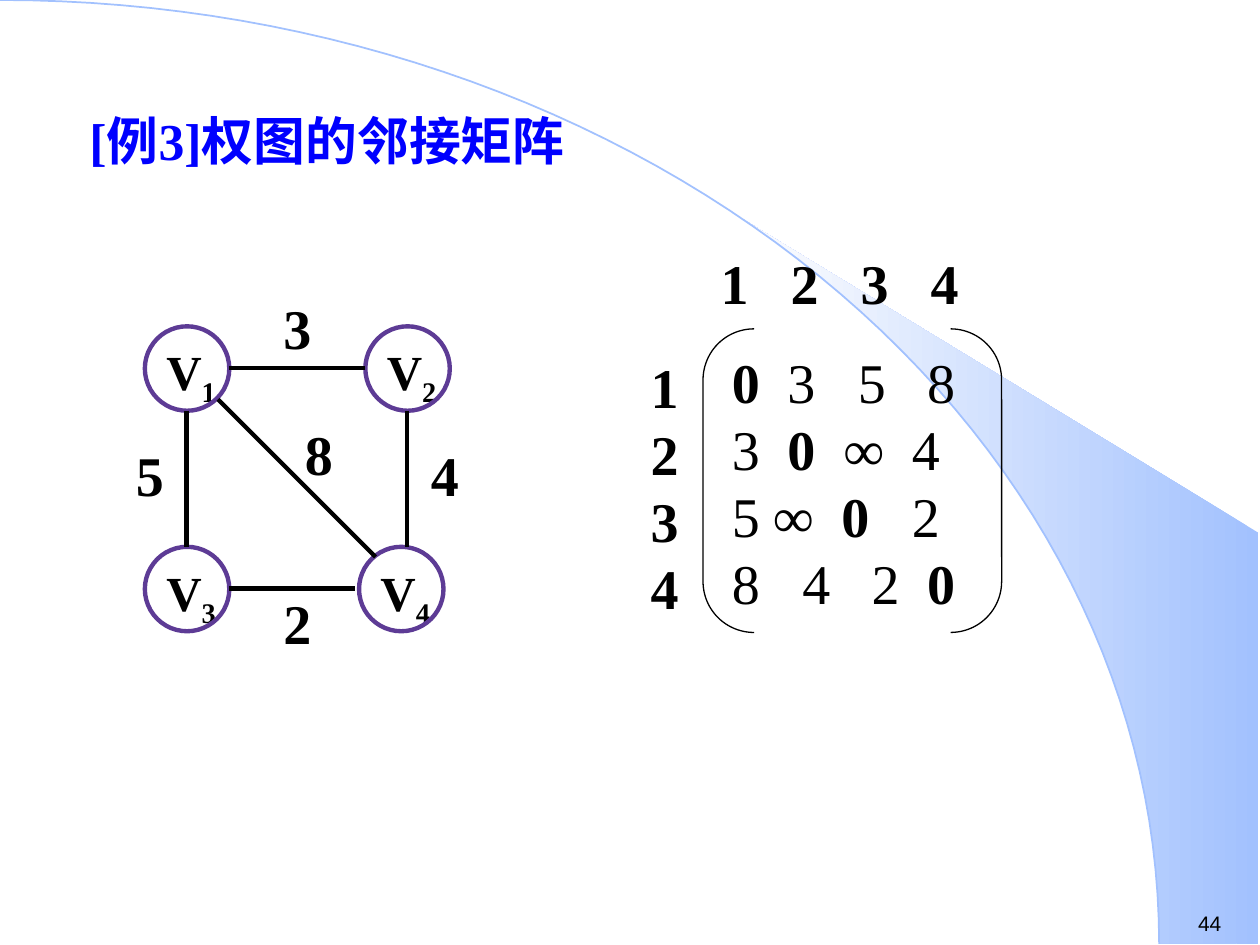
import math
from typing import NamedTuple

from lxml import etree
from pptx import Presentation
from pptx.dml.color import RGBColor
from pptx.enum import shapes, text
from pptx.oxml.ns import qn
from pptx.util import Inches, Pt


class Theme:
    serif, sans = "Times New Roman", "Arial"
    black = RGBColor(0, 0, 0)
    title = RGBColor(0, 0, 0xFF)
    ring = RGBColor(0x5D, 0x3B, 0x95)
    sky = RGBColor(0xA2, 0xC1, 0xFE)
    pale = RGBColor(0xFE, 0xFE, 0xFE)
    title_size, digit_size, vertex_size, page_size = 29.6, 32, 28, 12
    digit_leading = 38.3
    stroke, bracket_stroke, curve_stroke = 2.5, 0.75, 1


class Vertex(NamedTuple):
    index: str
    left: float
    top: float


class Edge(NamedTuple):
    start: tuple[float, float]
    end: tuple[float, float]
    weight: str
    weight_left: float
    weight_top: float


class MatrixRow(NamedTuple):
    entries: str
    stops: tuple[float, ...]


VERTICES = [Vertex("1", 1.15, 2.59), Vertex("4", 2.85, 4.34),
            Vertex("3", 1.15, 4.34), Vertex("2", 2.9, 2.59)]
EDGES = [Edge((1.82, 2.92), (2.9, 2.92), "3", 2.15, 2.25),
         Edge((3.23, 3.26), (3.23, 4.34), "4", 3.32, 3.42),
         Edge((1.82, 4.67), (2.82, 4.67), "2", 2.15, 4.59),
         Edge((1.48, 3.26), (1.48, 4.34), "5", 0.98, 3.42),
         Edge((1.73, 3.17), (2.98, 4.42), "8", 2.32, 3.25)]
ROWS = [MatrixRow("0358", (0.44, 1, 1.55)),
        MatrixRow("30∞4", (0.44, 0.89, 1.43)),
        MatrixRow("5∞02", (0.33, 0.87, 1.43)),
        MatrixRow("8420", (0.56, 1.11, 1.55))]
DIAMETER = 0.67
ARC_WIDTH, ARC_HEIGHT = 9.2, 7.49
BAND_START = 5.89


def style(run, size: float, color=Theme.black, bold=True, name=Theme.serif) -> None:
    run.font.name, run.font.size = name, Pt(size)
    run.font.bold, run.font.color.rgb = bold, color


def set_frame(frame, insets=(0, 0, 0, 0), wrap=True) -> None:
    frame.word_wrap = wrap
    frame.vertical_anchor = text.MSO_ANCHOR.TOP
    (frame.margin_left, frame.margin_top,
     frame.margin_right, frame.margin_bottom) = map(Inches, insets)


def add_text(slide, box, content: str, size: float, insets=(0, 0, 0, 0),
             align=text.PP_ALIGN.LEFT, leading=None, wrap=True, **font):
    frame = slide.shapes.add_textbox(*map(Inches, box)).text_frame
    set_frame(frame, insets, wrap)
    frame.text = content
    for line in frame.paragraphs:
        line.alignment = align
        if leading:
            line.line_spacing = leading
        for run in line.runs:
            style(run, size, **font)
    return frame


def set_tabs(line, stops) -> None:
    tabs = etree.SubElement(line._p.get_or_add_pPr(), qn("a:tabLst"))
    for stop in stops:
        etree.SubElement(tabs, qn("a:tab"), pos=str(Inches(stop)), algn="l")


def arc_points(start_x: float, steps: int = 60) -> list[tuple[float, float]]:
    first = math.asin(start_x / ARC_WIDTH)
    angles = [first + (math.pi / 2 - first) * i / steps for i in range(steps + 1)]
    return [(ARC_WIDTH * math.sin(a), ARC_HEIGHT * (1 - math.cos(a))) for a in angles]


def add_outline(slide, points, closed: bool):
    first, *rest = [(Inches(x), Inches(y)) for x, y in points]
    builder = slide.shapes.build_freeform(*first)
    builder.add_line_segments(rest, close=closed)
    outline = builder.convert_to_shape()
    outline.shadow.inherit = False
    return outline


def draw_backdrop(slide) -> None:
    band = add_outline(slide, arc_points(BAND_START) + [(9.99, 7.49), (9.99, 4.23)], True)
    band.line.fill.background()
    band.fill.gradient()
    band.fill.gradient_angle = 180
    for stop, color in zip(band.fill.gradient_stops, (Theme.sky, Theme.pale)):
        stop.color.rgb = color
    curve = add_outline(slide, arc_points(0), False)
    curve.fill.background()
    curve.line.color.rgb, curve.line.width = Theme.sky, Pt(Theme.curve_stroke)


def draw_matrix(slide) -> None:
    leading = Pt(Theme.digit_leading)
    add_text(slide, (5, 2.77, 0.55, 2.3), "1\n2\n3\n4", Theme.digit_size,
             insets=(0, 0.03, 0, 0), align=text.PP_ALIGN.CENTER, leading=leading)
    brackets = slide.shapes.add_shape(
        shapes.MSO_SHAPE.DOUBLE_BRACKET, *map(Inches, (5.58, 2.61, 2.37, 2.41)))
    brackets.adjustments[0] = 0.171
    brackets.shadow.inherit = False
    brackets.fill.background()
    brackets.line.color.rgb = Theme.black
    brackets.line.width = Pt(Theme.bracket_stroke)
    frame = brackets.text_frame
    set_frame(frame, (0.11, 0.03, 0, 0))
    for number, row in enumerate(ROWS):
        line = frame.add_paragraph() if number else frame.paragraphs[0]
        set_tabs(line, row.stops)
        line.alignment, line.line_spacing = text.PP_ALIGN.LEFT, leading
        for column, entry in enumerate(row.entries):
            run = line.add_run()
            run.text = "\t" + entry if column else entry
            style(run, Theme.digit_size, bold=entry in "0∞")
    header = add_text(slide, (5.72, 1.94, 2.08, 0.69), "1\t2\t3\t4", Theme.digit_size,
                      insets=(0, 0.03, 0, 0), leading=leading)
    set_tabs(header.paragraphs[0], [0.555 * i for i in (1, 2, 3)])


def draw_vertex(slide, vertex: Vertex) -> None:
    frame = add_text(slide, (vertex.left + 0.17, vertex.top + 0.08, 0.5, 0.59),
                     "V", Theme.vertex_size, insets=(0, 0.04, 0, 0))
    subscript = frame.paragraphs[0].add_run()
    subscript.text = vertex.index
    style(subscript, Theme.vertex_size)
    subscript._r.get_or_add_rPr().set("baseline", "-25000")
    ring = slide.shapes.add_shape(
        shapes.MSO_SHAPE.OVAL,
        *map(Inches, (vertex.left, vertex.top, DIAMETER, DIAMETER)))
    ring.shadow.inherit = False
    ring.fill.background()
    ring.line.color.rgb, ring.line.width = Theme.ring, Pt(Theme.stroke)


def draw_edge(slide, edge: Edge) -> None:
    link = slide.shapes.add_connector(
        shapes.MSO_CONNECTOR.STRAIGHT, *map(Inches, edge.start + edge.end))
    link.line.color.rgb, link.line.width = Theme.black, Pt(Theme.stroke)
    etree.SubElement(link._element.spPr, qn("a:effectLst"))
    add_text(slide, (edge.weight_left, edge.weight_top, 0.42, 0.64), edge.weight,
             Theme.digit_size, insets=(0, 0.08, 0, 0.05),
             align=text.PP_ALIGN.CENTER, leading=Pt(Theme.digit_leading))


def main() -> None:
    deck = Presentation()
    deck.slide_width, deck.slide_height = Inches(10), Inches(7.5)
    slide = deck.slides.add_slide(deck.slide_layouts[6])
    draw_backdrop(slide)
    # Page number and title
    add_text(slide, (9.41, 7.18, 0.59, 0.3), "44", Theme.page_size,
             insets=(0.1, 0.05, 0.1, 0.05), bold=False, name=Theme.sans)
    add_text(slide, (0.51, 0.91, 4.53, 0.55), "[例3]权图的邻接矩阵", Theme.title_size,
             insets=(0.2, 0.05, 0.1, 0.05), leading=0.8, wrap=False, color=Theme.title)
    # Adjacency matrix
    draw_matrix(slide)
    # Weighted graph
    for vertex in VERTICES:
        draw_vertex(slide, vertex)
    for edge in EDGES:
        draw_edge(slide, edge)
    deck.save("out.pptx")


if __name__ == "__main__":
    main()
